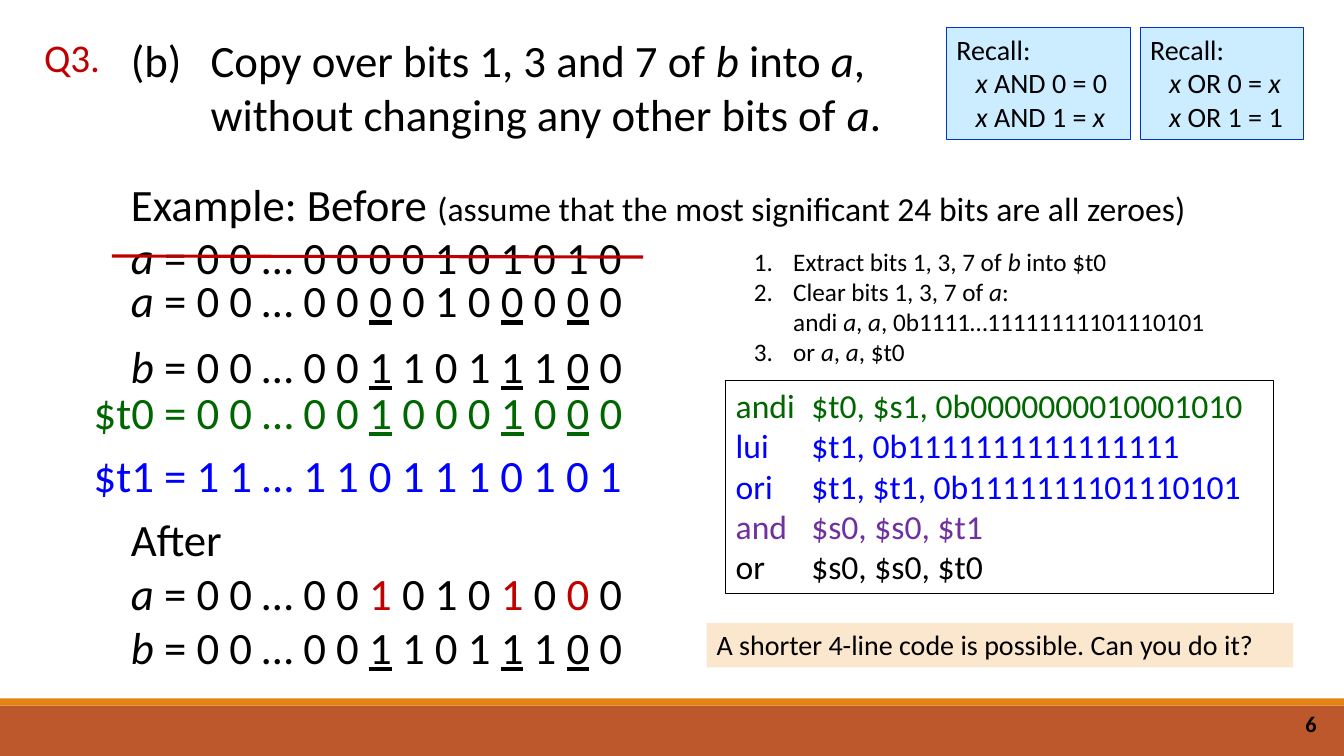
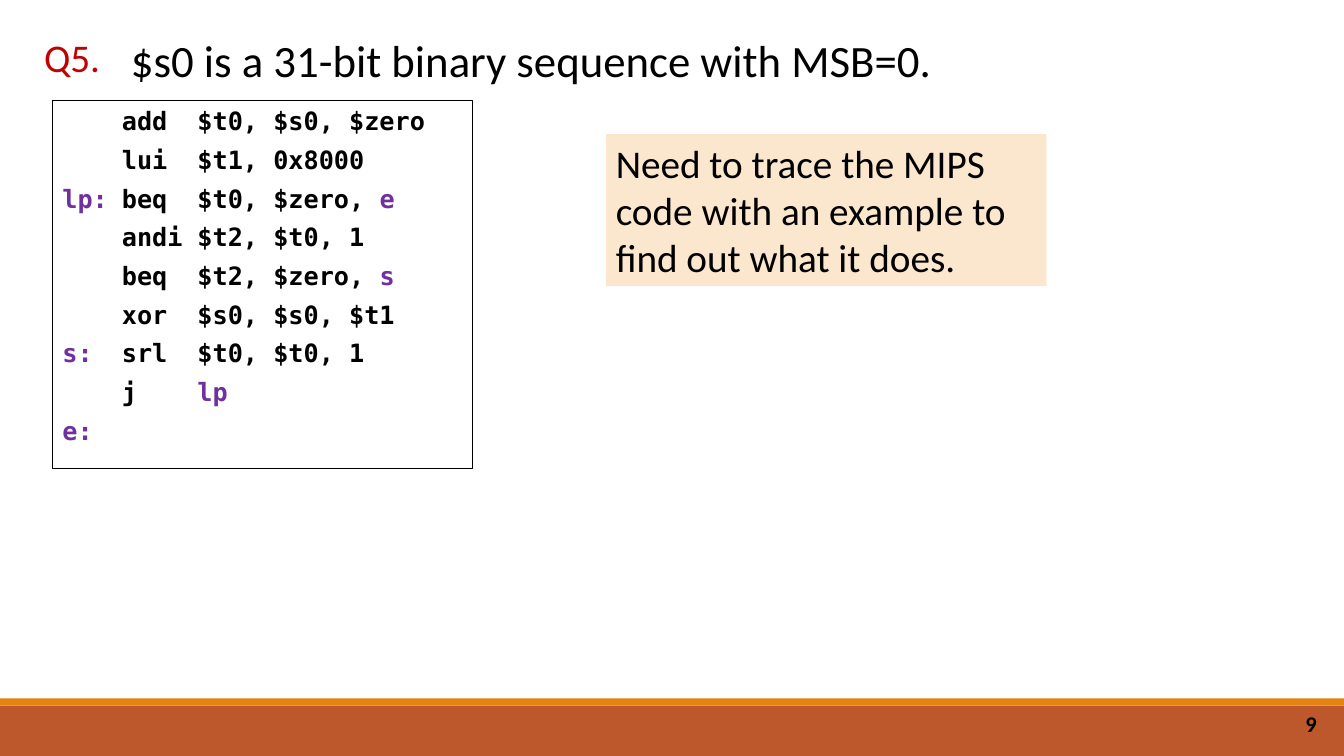
from dataclasses import dataclass
from lxml.etree import SubElement
from pptx import Presentation
from pptx.dml.color import RGBColor as Rgb
from pptx.enum.shapes import MSO_CONNECTOR as Link, MSO_SHAPE as Kind
from pptx.enum.text import MSO_ANCHOR as Anchor, PP_ALIGN as Align
from pptx.oxml.ns import qn
from pptx.util import Inches, Pt

WIDE, HIGH = Inches(13.333), Inches(7.5)


@dataclass(frozen=True)
class Theme:
    """Colours, fonts and type sizes shared by the slides."""
    ink: str = "000000"
    red: str = "C00000"
    green: str = "006600"
    blue: str = "0000FF"
    plum: str = "7030A0"
    band: str = "BD582C"
    strip: str = "E48312"
    sky: str = "CCECFF"
    edge: str = "0033CC"
    sand: str = "FBE6CE"
    white: str = "FFFFFF"
    sans: str = "Calibri"
    mono: str = "DejaVu Sans Mono"
    big: int = 32
    label: int = 28
    code: int = 24
    note: int = 20
    small: int = 18
    page: int = 16
    hair: float = 0.75
    rule: float = 2.25


T = Theme()


@dataclass(frozen=True)
class Box:
    """An area in percent of the slide."""
    x: float
    y: float
    w: float
    h: float

    def cut(self, x, y, w, h):
        """Return an area given in percent of this one."""
        return Box(self.x + self.w * x / 100, self.y + self.h * y / 100,
                   self.w * w / 100, self.h * h / 100)

    def place(self):
        """Return left, top, width and height in slide units."""
        return [int(full * share / 100) for full, share in
                zip((WIDE, HIGH, WIDE, HIGH), (self.x, self.y, self.w, self.h))]


def split(text):
    """Yield pieces with their marks: * italic, _ underline, ~ accent, ^ small."""
    marks, piece = set(), ""
    for char in text:
        if char in "*_~^":
            if piece:
                yield piece, frozenset(marks)
            marks ^= {char}
            piece = ""
        else:
            piece += char
    if piece:
        yield piece, frozenset(marks)


def style(para, fmt):
    """Apply spacing, indent, numbers and tab stops to a paragraph."""
    for name in ("alignment", "space_before", "space_after"):
        if name in fmt:
            setattr(para, name, fmt[name])
    props = para._p.get_or_add_pPr()
    for name in ("marL", "indent"):
        if name in fmt:
            props.set(name, str(Inches(fmt[name])))
    if "start" in fmt:
        SubElement(props, qn("a:buAutoNum"), type="arabicPeriod",
                   startAt=str(fmt["start"]))
    if "tabs" in fmt:
        stops = SubElement(props, qn("a:tabLst"))
        for stop in fmt["tabs"]:
            SubElement(stops, qn("a:tab"), pos=str(Inches(stop)), algn="l")


def write(frame, lines, base):
    """Fill a text frame; a line is text, or text with its own format."""
    frame.word_wrap = True
    frame.vertical_anchor = base.get("anchor", Anchor.TOP)
    for i, line in enumerate(lines):
        text, own = (line, {}) if isinstance(line, str) else line
        fmt = {"alignment": Align.LEFT, "color": T.ink, "accent": T.red,
               "size": T.big, "name": T.sans, "bold": False} | base | own
        para = frame.add_paragraph() if i else frame.paragraphs[0]
        style(para, fmt)
        for piece, marks in split(text):
            run = para.add_run()
            run.text = piece
            look = {"name": fmt["name"], "bold": fmt["bold"],
                    "size": Pt(T.code if "^" in marks else fmt["size"]),
                    "italic": "*" in marks, "underline": "_" in marks}
            for name, value in look.items():
                setattr(run.font, name, value)
            color = fmt["accent" if "~" in marks else "color"]
            run.font.color.rgb = Rgb.from_string(color)


def words(slide, box, lines, **fmt):
    """Add plain text."""
    write(slide.shapes.add_textbox(*box.place()).text_frame, lines, fmt)


def panel(slide, box, lines=(), fill=None, line=None, **fmt):
    """Add a rectangle with optional fill, outline and text."""
    shape = slide.shapes.add_shape(Kind.RECTANGLE, *box.place())
    shape.shadow.inherit = False
    for paint, color in ((shape.fill, fill), (shape.line.fill, line)):
        if color:
            paint.solid()
            paint.fore_color.rgb = Rgb.from_string(color)
        else:
            paint.background()
    if line:
        shape.line.width = Pt(T.hair)
    write(shape.text_frame, lines, fmt)


def strike(slide, box):
    """Draw a red line from corner to corner of the box."""
    x, y, w, h = box.place()
    line = slide.shapes.add_connector(Link.STRAIGHT, x, y, x + w, y + h)
    line.line.color.rgb = Rgb.from_string(T.red)
    line.line.width = Pt(T.rule)
    SubElement(line._element.spPr, qn("a:effectLst"))


def footer(slide, box, page):
    """Draw the two bands and the page number."""
    panel(slide, box.cut(0, 12.28, 100, 87.72), fill=T.band)
    panel(slide, box.cut(0, 0, 100, 12.28), fill=T.strip)
    words(slide, box.cut(76.2, 8.8, 22.5, 70), [str(page)], size=T.page,
          bold=True, alignment=Align.RIGHT, anchor=Anchor.MIDDLE)


def heading(slide, box, label, text, wide, tall, **fmt):
    """Place the question label and, beside it, the question."""
    words(slide, box.cut(0, 0, 7.67, 48.3), [label], size=T.label,
          color=T.red, alignment=Align.CENTER)
    words(slide, box.cut(7.6, 0, wide, tall), [text], **fmt)


def recall(slide, box):
    """Place the two reminder cards side by side."""
    cards = ((0, 51.69, ("*x* AND 0 = 0", "*x* AND 1 = *x*")),
             (54.24, 45.76, ("*x* OR 0 = *x*", "*x* OR 1 = 1")))
    for x, wide, rules in cards:
        lines = ["Recall:"] + [(rule, {"marL": 0.19}) for rule in rules]
        panel(slide, box.cut(x, 0, wide, 100), lines, fill=T.sky,
              line=T.edge, size=T.note)


def bits(slide, box):
    """Place the bit patterns before, during and after the copy."""
    source = "*b* = 0 0 … 0 0 _1_ 1 0 1 _1_ 1 _0_ 0"
    words(slide, box.cut(3.33, 0, 96.67, 44.75), [
        "Example: Before ^(assume that the most significant 24 bits are all zeroes)^",
        "*a* = 0 0 … 0 0 0 0 1 0 1 0 1 0",
        (source, {"space_before": Pt(39)})])
    words(slide, box.cut(3.33, 65.94, 50.32, 34.06), [
        "After", "*a* = 0 0 … 0 0 ~1~ 0 1 0 ~1~ 0 ~0~ 0", source])
    steps = ((3.33, 19.01, T.ink, "*a* = 0 0 … 0 0 _0_ 0 1 0 _0_ 0 _0_ 0"),
             (0, 40.99, T.green, "$t0 = 0 0 … 0 0 _1_ 0 0 0 _1_ 0 _0_ 0"),
             (0, 53.27, T.blue, "$t1 = 1 1 … 1 1 0 1 1 1 0 1 0 1"))
    for x, y, color, text in steps:
        words(slide, box.cut(x, y, 51.13, 12.67), [text], color=color)
    strike(slide, box.cut(2.52, 16.63, 47.43, 0.2))


def answer(slide, box):
    """Place the numbered steps, the code and the closing hint."""
    first, third = ({"indent": -0.39, "start": n} for n in (1, 3))
    words(slide, box.cut(6.36, 0, 87.46, 30.97), [
        ("Extract bits 1, 3, 7 of *b* into $t0", first),
        ("Clear bits 1, 3, 7 of *a*:", first),
        "andi *a*, *a*, 0b1111…11111111101110101",
        ("or *a*, *a*, $t0", third)], size=T.small, marL=0.39)
    code = (("andi\t$t0, $s1, 0b0000000010001010", T.green),
            ("lui\t$t1, 0b1111111111111111", T.blue),
            ("ori\t$t1, $t1, 0b1111111101110101", T.blue),
            ("and\t$s0, $s0, $t1", T.plum),
            ("or\t$s0, $s0, $t0", T.ink))
    panel(slide, box.cut(3.26, 32.62, 93.3, 50.12),
          [(text, {"color": color}) for text, color in code],
          line=T.ink, size=T.code, tabs=(0.75,))
    hint(slide, box.cut(0, 89.6, 100, 10.4),
         "A shorter 4-line code is possible. Can you do it?", T.note)


def hint(slide, box, text, size):
    """Place a sand-coloured remark."""
    panel(slide, box, [text], fill=T.sand, size=size)


def listing(slide, box):
    """Place the assembly loop, its labels in plum."""
    panel(slide, box, [
        "\tadd\t$t0, $s0, $zero",
        "\tlui\t$t1, 0x8000",
        "~lp:~\tbeq\t$t0, $zero, ~e~",
        "\tandi\t$t2, $t0, 1",
        "\tbeq\t$t2, $zero, ~s~",
        "\txor\t$s0, $s0, $t1",
        "~s:~\tsrl\t$t0, $t0, 1",
        "\tj\t~lp~",
        "~e:~"], fill=T.white, line=T.ink, name=T.mono, size=T.small,
        bold=True, accent=T.plum, space_after=Pt(6), tabs=(0.59, 1.34))


def start(deck, page):
    """Add a blank slide with its footer."""
    slide = deck.slides.add_slide(deck.slide_layouts[6])
    footer(slide, Box(0, 92.4, 100, 7.6), page)
    return slide


def main():
    """Build both slides and save them."""
    deck = Presentation()
    deck.slide_width, deck.slide_height = WIDE, HIGH
    top = Box(1.65, 3.73, 96.75, 15.73)

    slide = start(deck, 6)
    heading(slide, top, "Q3.", "(b)\tCopy over bits 1, 3 and 7 of *b* into *a*, "
            "without changing any other bits of *a*.", 67.9, 100,
            marL=0.79, indent=-0.79)
    bits(slide, Box(6.23, 22.67, 83.33, 67.33))
    recall(slide, Box(70.43, 3.6, 26.55, 14.8))
    answer(slide, Box(52.58, 31.87, 43.65, 56.4))

    slide = start(deck, 9)
    heading(slide, top, "Q5.", "$s0 is a 31-bit binary sequence with MSB=0.",
            92.4, 54.2)
    listing(slide, Box(3.9, 13.33, 31.28, 48.67))
    hint(slide, Box(45.08, 17.73, 32.78, 20.13), "Need to trace the MIPS code "
         "with an example to find out what it does.", T.label)
    deck.save("out.pptx")


main()
